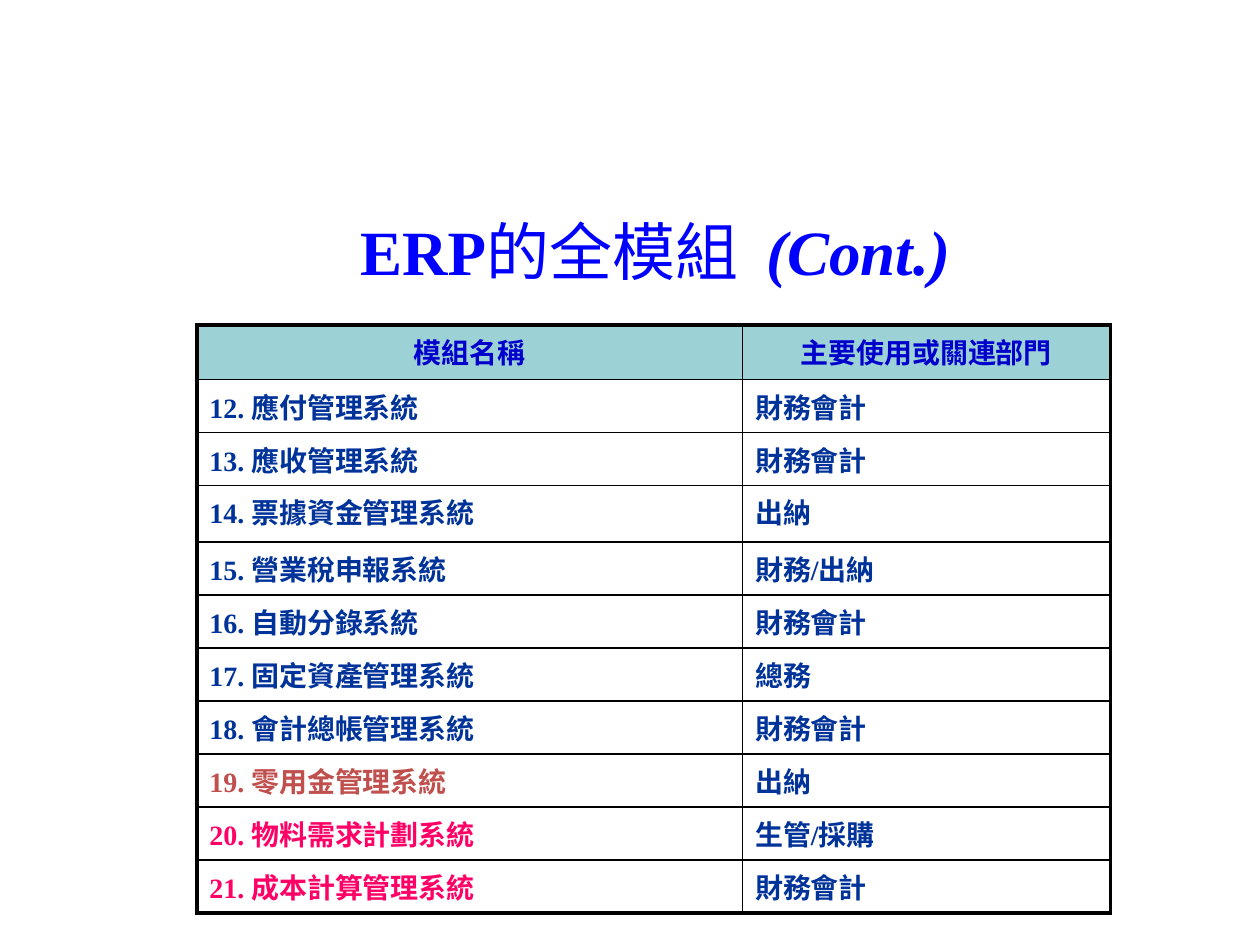
from dataclasses import dataclass

from lxml import etree
from pptx import Presentation
from pptx.dml.color import RGBColor
from pptx.enum.text import MSO_AUTO_SIZE, PP_ALIGN
from pptx.oxml.ns import qn
from pptx.util import Pt

CENTER = PP_ALIGN.CENTER
JUSTIFY = PP_ALIGN.JUSTIFY
FONT = "Times New Roman"
BLACK, WHITE, TEAL = "000000", "FFFFFF", "9CD2D6"
TITLE_BLUE, HEADER_BLUE, NAVY = "0000FF", "0000CC", "003399"
BRICK, PINK = "C0504D", "FF0066"
THICK, THIN = 2.25, 1
COLUMN_WIDTHS = (311.8, 210.2)
HEADER_HEIGHT, ROW_HEIGHT, TALL_HEIGHT = 31, 28.8, 32.4


@dataclass
class Module:
    name: str
    department: str
    color: str = NAVY
    height: float = ROW_HEIGHT


MODULES = [
    Module("12. 應付管理系統", "財務會計"),
    Module("13. 應收管理系統", "財務會計"),
    Module("14. 票據資金管理系統", "出納", height=TALL_HEIGHT),
    Module("15. 營業稅申報系統", "財務/出納"),
    Module("16. 自動分錄系統", "財務會計"),
    Module("17. 固定資產管理系統", "總務"),
    Module("18. 會計總帳管理系統", "財務會計"),
    Module("19. 零用金管理系統", "出納", BRICK),
    Module("20. 物料需求計劃系統", "生管/採購", PINK),
    Module("21. 成本計算管理系統", "財務會計", PINK),
]


def rgb(value: str) -> RGBColor:
    return RGBColor.from_string(value)


def add_run(paragraph, text: str, size: float, color: str,
            bold: bool = True, italic: bool = False) -> None:
    run = paragraph.add_run()
    run.text = text
    run.font.name = FONT
    run.font.size = Pt(size)
    run.font.bold = bold
    run.font.italic = italic
    run.font.color.rgb = rgb(color)


def set_borders(cell, widths: dict[str, float]) -> None:
    properties = cell._tc.get_or_add_tcPr()
    # Border elements must come before the cell fill
    for index, (side, width) in enumerate(widths.items()):
        line = etree.Element(qn(f"a:ln{side}"), w=str(Pt(width)))
        fill = etree.SubElement(line, qn("a:solidFill"))
        etree.SubElement(fill, qn("a:srgbClr"), val=BLACK)
        properties.insert(index, line)


def fill_cell(table, row: int, column: int, text: str, color: str) -> None:
    cell = table.cell(row, column)
    header = row == 0
    cell.fill.solid()
    cell.fill.fore_color.rgb = rgb(TEAL if header else WHITE)
    paragraph = cell.text_frame.paragraphs[0]
    paragraph.alignment = CENTER if header else JUSTIFY
    add_run(paragraph, text, 16, color)
    # Thick lines on the outer frame only
    outer = {
        "L": column == 0,
        "R": column == len(table.columns) - 1,
        "T": header,
        "B": row == len(table.rows) - 1,
    }
    set_borders(cell, {side: THICK if edge else THIN
                       for side, edge in outer.items()})


def add_title(slide) -> None:
    box = slide.shapes.add_textbox(Pt(146.2), Pt(118), Pt(456.5), Pt(51))
    frame = box.text_frame
    frame.word_wrap = True
    frame.auto_size = MSO_AUTO_SIZE.SHAPE_TO_FIT_TEXT
    paragraph = frame.paragraphs[0]
    paragraph.alignment = CENTER
    add_run(paragraph, "ERP", 36, TITLE_BLUE)
    add_run(paragraph, "的全模組  ", 36, TITLE_BLUE, bold=False)
    add_run(paragraph, "(Cont.)", 36, TITLE_BLUE, italic=True)


def add_module_table(slide) -> None:
    heights = [HEADER_HEIGHT] + [module.height for module in MODULES]
    table = slide.shapes.add_table(
        len(heights), len(COLUMN_WIDTHS), Pt(112.5), Pt(185.8),
        Pt(sum(COLUMN_WIDTHS)), Pt(sum(heights))).table
    table.first_row = False
    table.horz_banding = False
    for column, width in zip(table.columns, COLUMN_WIDTHS):
        column.width = Pt(width)
    for row, height in zip(table.rows, heights):
        row.height = Pt(height)

    for column, heading in enumerate(("模組名稱", "主要使用或關連部門")):
        fill_cell(table, 0, column, heading, HEADER_BLUE)
    for row, module in enumerate(MODULES, start=1):
        fill_cell(table, row, 0, module.name, module.color)
        fill_cell(table, row, 1, module.department, NAVY)


def main() -> None:
    presentation = Presentation()
    presentation.slide_width, presentation.slide_height = Pt(720), Pt(540)
    slide = presentation.slides.add_slide(presentation.slide_layouts[6])
    add_module_table(slide)
    add_title(slide)
    presentation.save("out.pptx")


if __name__ == "__main__":
    main()
